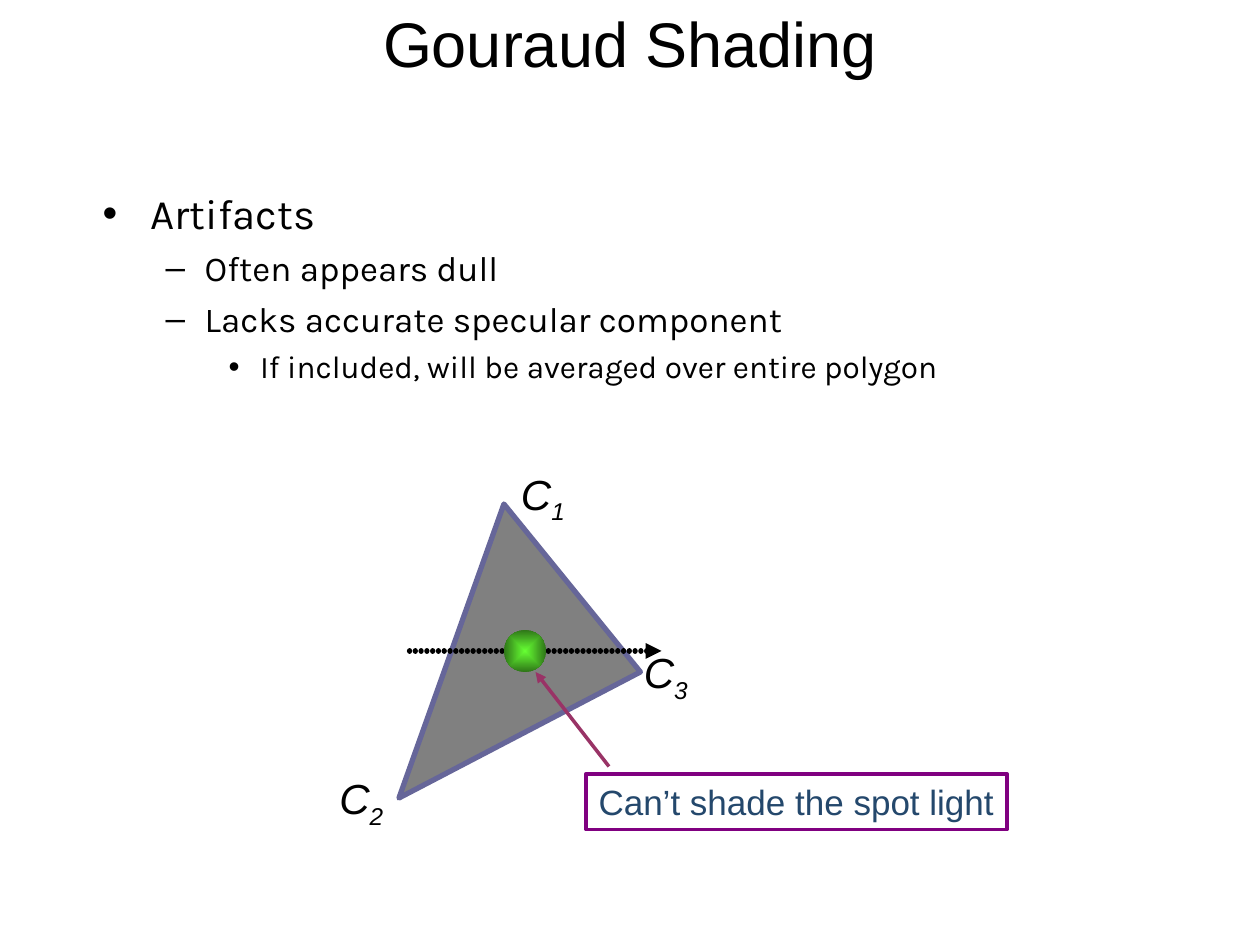
from lxml.etree import SubElement
from pptx import Presentation
from pptx.dml.color import RGBColor as Color
from pptx.enum.shapes import MSO_CONNECTOR as Connector, MSO_SHAPE as Shape
from pptx.enum.text import MSO_ANCHOR as Anchor, PP_ALIGN as Align
from pptx.oxml import parse_xml
from pptx.oxml.ns import nsdecls, qn
from pptx.util import Emu, Inches, Pt

COLORS = {
    "text": "000000", "triangle": "808080", "edge": "666699",
    "ball_center": "66FF33", "ball_rim": "2F7618", "pointer": "993366",
    "callout_line": "800080", "callout_text": "24486C",
}
CELL = Inches(1) // 12
LEVELS = [
    {"size": 24, "indent": 0.38, "hang": 0.38, "before": 6, "bullet": "•"},
    {"size": 20, "indent": 0.81, "hang": 0.31, "before": 5, "bullet": "–"},
    {"size": 18, "indent": 1.25, "hang": 0.25, "before": 4.5, "bullet": "•"},
]
POINTS = [
    (0, "Artifacts"),
    (1, "Often appears dull"),
    (1, "Lacks accurate specular component"),
    (2, "If included, will be averaged over entire polygon"),
]


def cells(*counts):
    return [Emu(round(count * CELL)) for count in counts]


def color(name):
    return Color.from_string(COLORS[name])


def style(font, size, name="Arial", tint="text"):
    font.size, font.name = Pt(size), name
    font.color.rgb = color(tint)


def set_line(shape, tint, width):
    shape.line.color.rgb = color(tint)
    shape.line.width = Pt(width)


def add_text(page, box, text, size):
    frame = page.shapes.add_textbox(*cells(*box)).text_frame
    frame.text = text
    frame.paragraphs[0].alignment = Align.CENTER
    style(frame.paragraphs[0].font, size)
    return frame


def add_title(page, box):
    frame = add_text(page, box, "Gouraud Shading", 36)
    frame.word_wrap = True
    frame.vertical_anchor = Anchor.MIDDLE


def add_bullets(page, box):
    frame = page.shapes.add_textbox(*cells(*box)).text_frame
    frame.word_wrap = True
    frame.margin_top = Inches(0.08)
    for index, (depth, text) in enumerate(POINTS):
        level = LEVELS[depth]
        para = frame.add_paragraph() if index else frame.paragraphs[0]
        para.text, para.level = text, depth
        if index:
            para.space_before = Pt(level["before"])
        props = para._p.get_or_add_pPr()
        props.set("marL", str(Inches(level["indent"])))
        props.set("indent", str(-Inches(level["hang"])))
        SubElement(props, qn("a:buFont"), typeface="Arial")
        SubElement(props, qn("a:buChar"), char=level["bullet"])
        style(para.runs[0].font, level["size"], "Karla")


def add_arrow(page, start, end, tint, width, dotted=False):
    arrow = page.shapes.add_connector(Connector.STRAIGHT, *cells(*start, *end))
    set_line(arrow, tint, width)
    outline = arrow.line._get_or_add_ln()
    if dotted:
        outline.set("cap", "rnd")
        dash = SubElement(outline, qn("a:custDash"))
        SubElement(dash, qn("a:ds"), d="100000", sp="10000")
    SubElement(outline, qn("a:round"))
    SubElement(outline, qn("a:tailEnd"), type="triangle")
    SubElement(arrow._element.spPr, qn("a:effectLst"))


def add_triangle(page, corners):
    first, *others = [cells(*corner) for corner in corners]
    builder = page.shapes.build_freeform(*first)
    builder.add_line_segments(others, close=True)
    triangle = builder.convert_to_shape()
    triangle.shadow.inherit = False
    triangle.fill.solid()
    triangle.fill.fore_color.rgb = color("triangle")
    set_line(triangle, "edge", 3)
    SubElement(triangle.line._get_or_add_ln(), qn("a:round"))


def add_corner_label(page, box, number):
    frame = add_text(page, box, "C", 24)
    frame.word_wrap = False
    para = frame.paragraphs[0]
    para.add_run().text = number
    for span in para.runs:
        style(span.font, 24)
        span.font.italic = True
    para.runs[1].font._element.set("baseline", "-25000")


def add_ball(page, box):
    ball = page.shapes.add_shape(Shape.OVAL, *cells(*box))
    ball.shadow.inherit = False
    ball.line.fill.background()
    gradient = parse_xml(
        f'<a:gradFill {nsdecls("a")} rotWithShape="1"><a:gsLst>'
        f'<a:gs pos="0"><a:srgbClr val="{COLORS["ball_center"]}"/></a:gs>'
        f'<a:gs pos="100000"><a:srgbClr val="{COLORS["ball_rim"]}"/></a:gs>'
        '</a:gsLst><a:path path="rect">'
        '<a:fillToRect l="50000" t="50000" r="50000" b="50000"/>'
        '</a:path></a:gradFill>')
    ball._element.spPr.find(qn("a:prstGeom")).addnext(gradient)


def add_callout(page, box):
    callout = page.shapes.add_shape(Shape.RECTANGLE, *cells(*box))
    callout.shadow.inherit = False
    callout.fill.background()
    set_line(callout, "callout_line", 2)
    frame = callout.text_frame
    frame.word_wrap = False
    frame.text = "Can’t shade the spot light"
    frame.paragraphs[0].alignment = Align.CENTER
    style(frame.paragraphs[0].runs[0].font, 20, tint="callout_text")


def add_diagram(page, left, top):
    def at(x, y, *size):
        return (left + x, top + y, *size)

    add_triangle(page, [at(8, 34), at(18, 6), at(31, 22)])
    for number, x, y in (("1", 18.4, 2), ("2", 1.1, 31), ("3", 30.1, 19)):
        add_corner_label(page, at(x, y, 6.6, 6.7), number)
    add_arrow(page, at(9, 20), at(33, 20), "text", 3, dotted=True)
    add_ball(page, at(18, 18, 4, 4))
    add_arrow(page, at(28, 31), at(21, 22), "pointer", 2)
    add_callout(page, at(25.8, 31.7, 40.1, 5.3))


def main():
    deck = Presentation()
    deck.slide_width, deck.slide_height = cells(120, 90)
    page = deck.slides.add_slide(deck.slide_layouts[6])
    add_title(page, (0, -1, 120, 10))
    add_bullets(page, (8.6, 16.9, 94.3, 22))
    add_diagram(page, 30, 42)
    deck.save("out.pptx")


if __name__ == "__main__":
    main()
